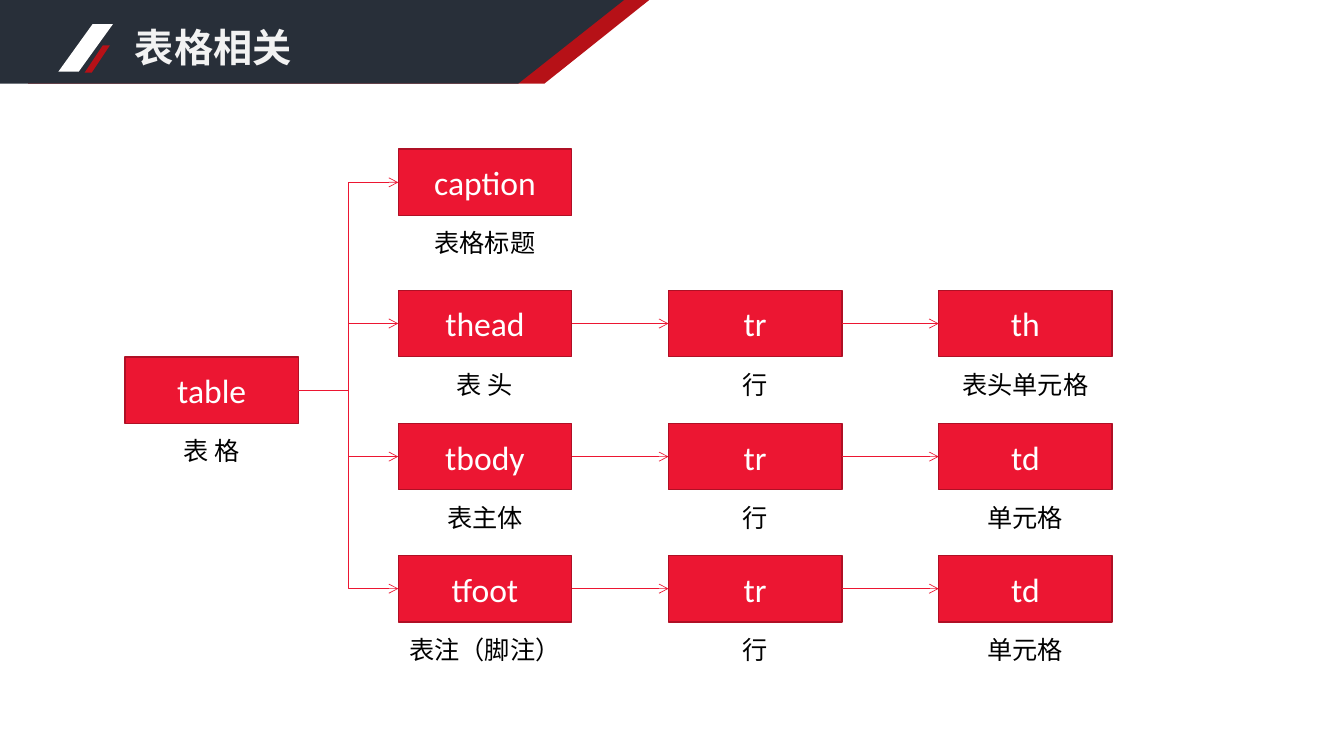
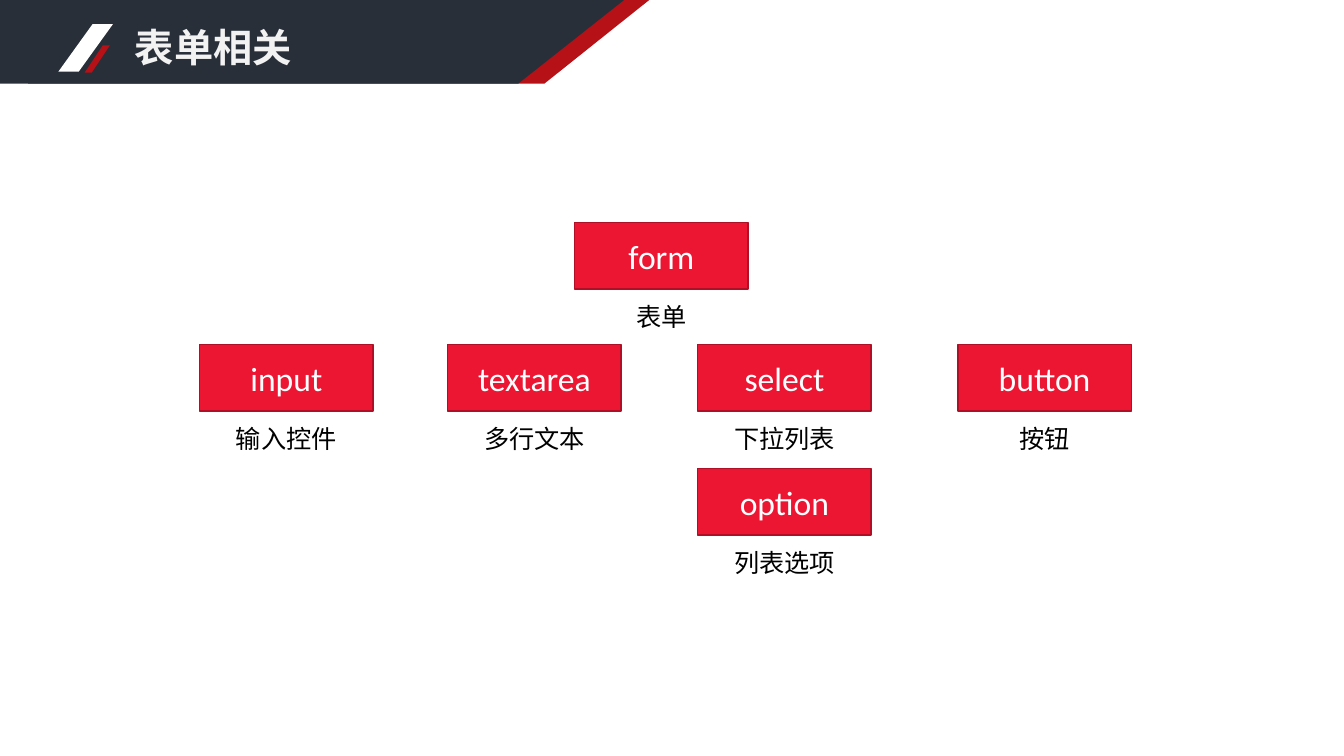
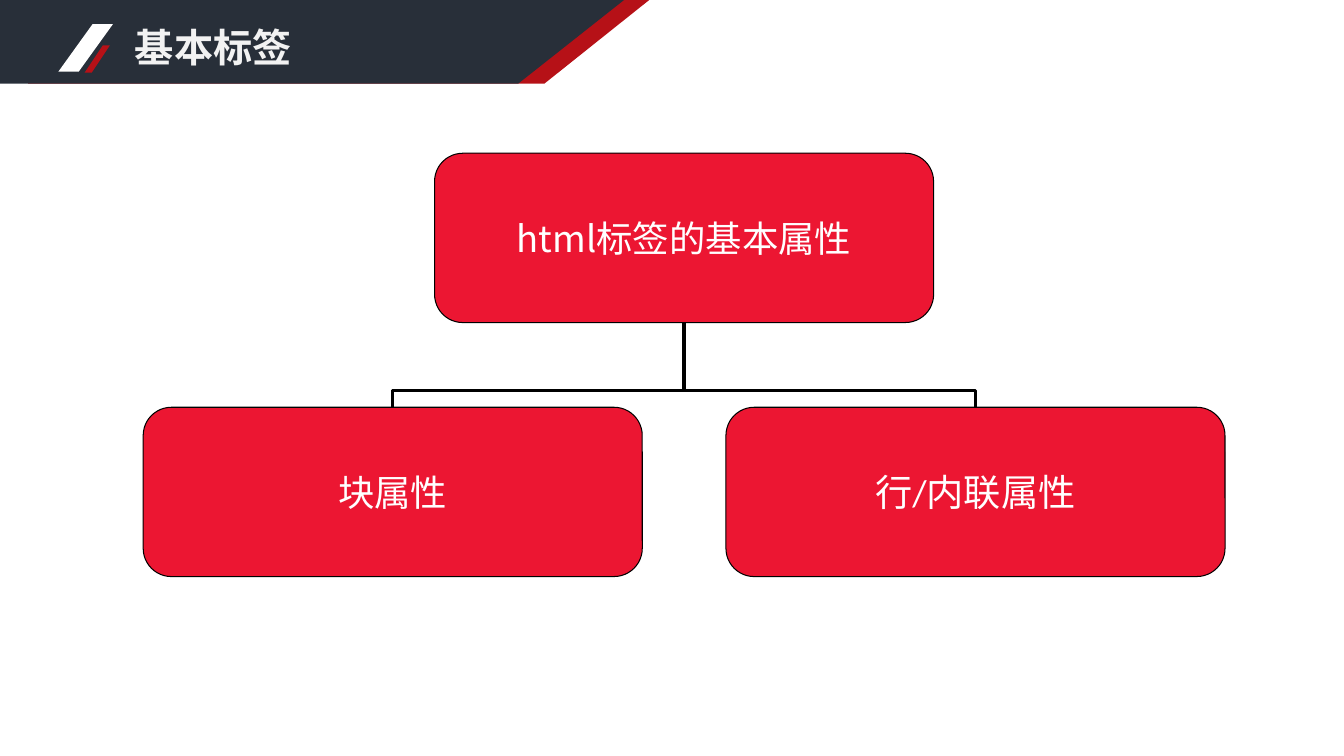
from lxml import etree
from pptx import Presentation
from pptx.dml.color import RGBColor
from pptx.enum import shapes, text
from pptx.oxml import ns
from pptx.util import Inches, Pt

HUES = {
    "red": "EC1632", "edge": "AF1025", "deep": "B61117", "navy": "282F39",
    "white": "FFFFFF", "pale": "F2F2F2", "black": "000000",
}
HAN, LATIN = "Noto Sans CJK SC", "Calibri"
TAG_W, TAG_H = 1.72, 0.66
CARD_W, CARD_H = 4.95, 1.68
KINDS = shapes.MSO_SHAPE
LINKS = shapes.MSO_CONNECTOR


def hue(name):
    return RGBColor.from_string(HUES[name])


def sub(node, tag, **attrs):
    return etree.SubElement(node, ns.qn(tag), **attrs)


def write(shape, words, size=18, font=HAN, color="black", bold=False,
          align="CENTER", anchor="TOP", wrap=True, inset=None):
    frame = shape.text_frame
    frame.word_wrap = wrap
    frame.vertical_anchor = getattr(text.MSO_ANCHOR, anchor)
    if inset is not None:
        frame.margin_left = frame.margin_right = Inches(inset)
        frame.margin_top = frame.margin_bottom = Inches(inset)
    para = frame.paragraphs[0]
    para.alignment = getattr(text.PP_ALIGN, align)
    run = para.add_run()
    run.text = words
    run.font.size, run.font.bold, run.font.name = Pt(size), bold, font
    run.font.color.rgb = hue(color)
    sub(run.font._element, "a:ea", typeface=HAN)


def paint(shape, fill, line=None, width=1):
    shape.shadow.inherit = False
    shape.fill.solid()
    shape.fill.fore_color.rgb = hue(fill)
    if line:
        shape.line.color.rgb = hue(line)
        shape.line.width = Pt(width)
    else:
        shape.line.fill.background()


def block(slide, kind, x, y, w, h, fill, **edge):
    shape = slide.shapes.add_shape(
        kind, Inches(x), Inches(y), Inches(w), Inches(h))
    paint(shape, fill, **edge)
    return shape


def label(slide, words, x, y, w, h, **style):
    box = slide.shapes.add_textbox(
        Inches(x), Inches(y), Inches(w), Inches(h))
    write(box, words, **style)


def band(slide, left, top_end, low_end, fill):
    """Draw a header strip with a slanted right end."""
    pen = slide.shapes.build_freeform(Inches(left), 0)
    pen.add_line_segments([(Inches(x), Inches(y)) for x, y in (
        (top_end, 0), (low_end, 0.83), (left, 0.83))], close=True)
    paint(pen.convert_to_shape(), fill)


def start(deck, title):
    """Add a blank slide with the shared header."""
    slide = deck.slides.add_slide(deck.slide_layouts[6])
    band(slide, 0.28, 6.44, 5.4, "deep")
    band(slide, 0, 6.19, 5.14, "navy")
    for x, y, w, h, fill in ((0.58, 0.24, 0.54, 0.47, "white"),
                             (0.84, 0.45, 0.25, 0.27, "deep")):
        mark = block(slide, KINDS.PARALLELOGRAM, x, y, w, h, fill)
        mark.adjustments[0] = 0.72
    label(slide, title, 1.24, 0.18, 4.05, 0.57, size=28, color="pale",
          bold=True, align="LEFT")
    return slide


def tag(slide, name, note, x, y):
    """Draw a tag box with its meaning below."""
    box = block(slide, KINDS.RECTANGLE, x, y, TAG_W, TAG_H, "red", line="edge")
    write(box, name, size=24, font=LATIN, color="white", anchor="MIDDLE")
    label(slide, note, x, y + 0.73, TAG_W, 0.42)


def link(slide, kind, x1, y1, x2, y2, color, width):
    line = slide.shapes.add_connector(
        kind, Inches(x1), Inches(y1), Inches(x2), Inches(y2))
    line.line.color.rgb = hue(color)
    line.line.width = Pt(width)
    sub(line._element.spPr, "a:effectLst")
    return line


def arrow(slide, x1, y1, x2, y2):
    kind = LINKS.STRAIGHT if y1 == y2 else LINKS.ELBOW
    line = link(slide, kind, x1, y1, x2, y2, "red", 0.5)
    sub(line.line._get_or_add_ln(), "a:tailEnd", type="arrow")


def branch(slide, x1, y1, x2, y2):
    """Join a lower card to an upper one by a turned elbow."""
    mid_x, mid_y = (x1 + x2) / 2, (y1 + y2) / 2
    half_w, half_h = (y1 - y2) / 2, abs(x1 - x2) / 2
    right = x1 > x2
    side = half_w if right else -half_w
    line = link(slide, LINKS.ELBOW, mid_x + side, mid_y - half_h,
                mid_x - side, mid_y + half_h, "black", 2.25)
    props = line._element.spPr
    turn = 90 if right else 270
    props.find(ns.qn("a:xfrm")).set("rot", str(turn * 60000))
    geom = props.find(ns.qn("a:prstGeom"))
    guides = geom.find(ns.qn("a:avLst"))
    if guides is None:
        guides = sub(geom, "a:avLst")
    sub(guides, "a:gd", name="adj1", fmla="val 20000")


def card(slide, words, x, y, **style):
    box = block(slide, KINDS.ROUNDED_RECTANGLE, x, y, CARD_W, CARD_H, "red",
                line="black", width=0.75)
    write(box, words, color="white", anchor="MIDDLE", wrap=False, inset=0,
          **style)


def tables(deck):
    slide = start(deck, "表格相关")
    cols = (3.95, 6.63, 9.31)
    rows = (
        (1.48, [("caption", "表格标题")]),
        (2.88, [("thead", "表 头"), ("tr", "行"), ("th", "表头单元格")]),
        (4.2, [("tbody", "表主体"), ("tr", "行"), ("td", "单元格")]),
        (5.51, [("tfoot", "表注（脚注）"), ("tr", "行"), ("td", "单元格")]),
    )
    root_x, root_y = 1.24, 3.54
    tag(slide, "table", "表 格", root_x, root_y)
    for y, tags in rows:
        mid = y + TAG_H / 2
        from_x, from_y = root_x + TAG_W, root_y + TAG_H / 2
        for x, (name, note) in zip(cols, tags):
            tag(slide, name, note, x, y)
            arrow(slide, from_x, from_y, x, mid)
            from_x, from_y = x + TAG_W, mid


def forms(deck):
    slide = start(deck, "表单相关")
    for name, note, x, y in (
        ("form", "表单", 5.7, 2.21),
        ("input", "输入控件", 1.98, 3.42),
        ("textarea", "多行文本", 4.44, 3.42),
        ("select", "下拉列表", 6.92, 3.42),
        ("button", "按钮", 9.5, 3.42),
        ("option", "列表选项", 6.92, 4.65),
    ):
        tag(slide, name, note, x, y)


def basics(deck):
    slide = start(deck, "基本标签")
    top_x, top_y, low_y = 4.31, 1.52, 4.04
    kids = ((1.42, "块属性", 26), (7.2, "行/内联属性", 26.6))
    half = CARD_W / 2
    for x, _, _ in reversed(kids):
        branch(slide, x + half, low_y, top_x + half, top_y + CARD_H)
    card(slide, "html标签的基本属性", top_x, top_y, size=26)
    for x, words, size in kids:
        card(slide, words, x, low_y, size=size, font=LATIN)


def main():
    deck = Presentation()
    deck.slide_width, deck.slide_height = Inches(13.33), Inches(7.5)
    tables(deck)
    forms(deck)
    basics(deck)
    deck.save("out.pptx")


if __name__ == "__main__":
    main()
